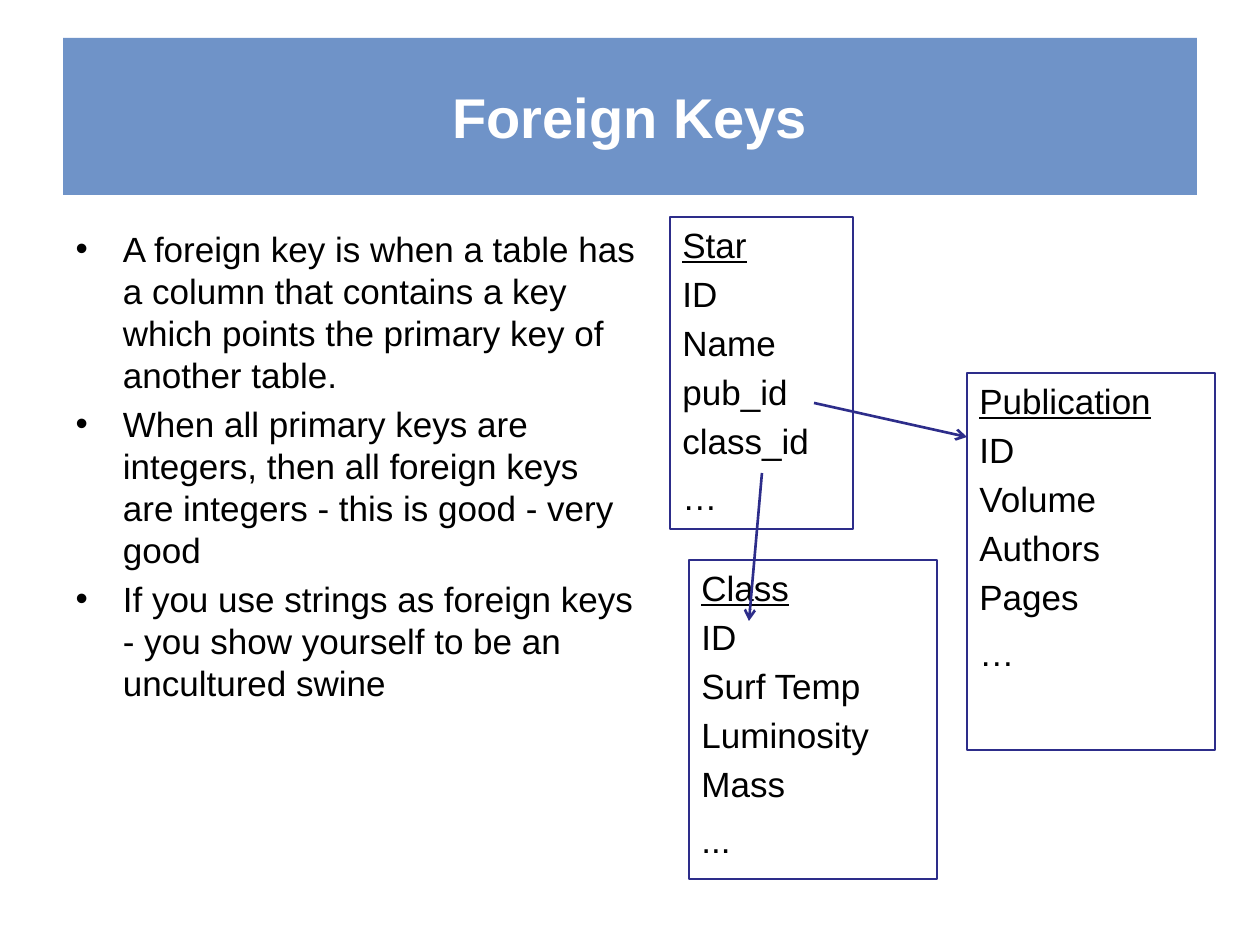
from lxml import etree
from pptx import Presentation
from pptx import util as u
from pptx.dml.color import RGBColor
from pptx.enum import shapes, text
from pptx.oxml.ns import qn

PX = u.Inches(1) / 126
FONT = "Arial"
BANNER = RGBColor(0x47, 0x75, 0xB9)
NAVY = RGBColor(0x2D, 0x2D, 0x8A)
BLACK = RGBColor(0, 0, 0)
WHITE = RGBColor(255, 255, 255)

BULLETS = [
    "A foreign key is when a table has a column that contains a key which "
    "points the primary key of another table.",
    "When all primary keys are integers, then all foreign keys are integers "
    "- this is good - very good",
    "If you use strings as foreign keys - you show yourself to be an "
    "uncultured swine",
]
STAR = ["Star", "ID", "Name", "pub_id", "class_id", "…"]
PUBLICATION = ["Publication", "ID", "Volume", "Authors", "Pages", "…"]
CLASS = ["Class", "ID", "Surf Temp", "Luminosity", "Mass", "..."]


def emu(*lengths):
    """Turn px lengths into EMU."""
    return [round(length * PX) for length in lengths]


def move(shape, *box):
    shape.left, shape.top, shape.width, shape.height = emu(*box)


def style_runs(paragraph, size, color, bold=False):
    for run in paragraph.runs:
        run.font.name = FONT
        run.font.size = u.Pt(size)
        run.font.color.rgb = color
        run.font.bold = bold


def fill_title(shape, words):
    move(shape, 63, 38, 1134, 157)
    shape.fill.solid()
    shape.fill.fore_color.rgb = BANNER
    color = shape.fill._xPr.find(qn("a:solidFill"))[0]
    etree.SubElement(color, qn("a:alpha"), val="78000")
    shape.text_frame.text = words
    style_runs(shape.text_frame.paragraphs[0], 32, WHITE, bold=True)


def fill_body(shape, items):
    move(shape, 63, 221, 587, 624)
    frame = shape.text_frame
    frame.text = "\n".join(items)
    frame.auto_size = text.MSO_AUTO_SIZE.NONE
    for paragraph in frame.paragraphs:
        style_runs(paragraph, 20, BLACK)


def add_entity(slide, rows, *box):
    """Outlined box with an underlined table name above its columns."""
    shape = slide.shapes.add_shape(shapes.MSO_SHAPE.RECTANGLE, *emu(*box))
    shape.shadow.inherit = False
    shape.fill.background()
    shape.line.color.rgb = NAVY
    shape.line.width = u.Pt(0.75)
    frame = shape.text_frame
    frame.word_wrap = True
    frame.vertical_anchor = text.MSO_ANCHOR.TOP
    frame.text = "\n".join(rows)
    for paragraph in frame.paragraphs:
        paragraph.alignment = text.PP_ALIGN.LEFT
        paragraph.space_before = u.Pt(4)
        style_runs(paragraph, 20, BLACK)
    frame.paragraphs[0].runs[0].font.underline = True
    frame.paragraphs[-1].space_before = u.Pt(8)


def add_arrow(slide, *ends):
    arrow = slide.shapes.add_connector(
        shapes.MSO_CONNECTOR.STRAIGHT, *emu(*ends))
    arrow.line.color.rgb = NAVY
    arrow.line.width = u.Pt(1.5)
    etree.SubElement(arrow.line._get_or_add_ln(), qn("a:tailEnd"), type="arrow")
    etree.SubElement(arrow._element.spPr, qn("a:effectLst"))


def main():
    presentation = Presentation()
    presentation.slide_width, presentation.slide_height = emu(1260, 945)
    slide = presentation.slides.add_slide(presentation.slide_layouts[1])
    fill_title(slide.shapes.title, "Foreign Keys")
    fill_body(slide.placeholders[1], BULLETS)
    add_entity(slide, STAR, 670, 217, 183, 312)
    add_entity(slide, PUBLICATION, 967, 373, 248, 377)
    add_arrow(slide, 814, 403, 967, 437)
    add_entity(slide, CLASS, 689, 560, 248, 319)
    add_arrow(slide, 762, 473, 749, 621)
    presentation.save("out.pptx")


if __name__ == "__main__":
    main()
